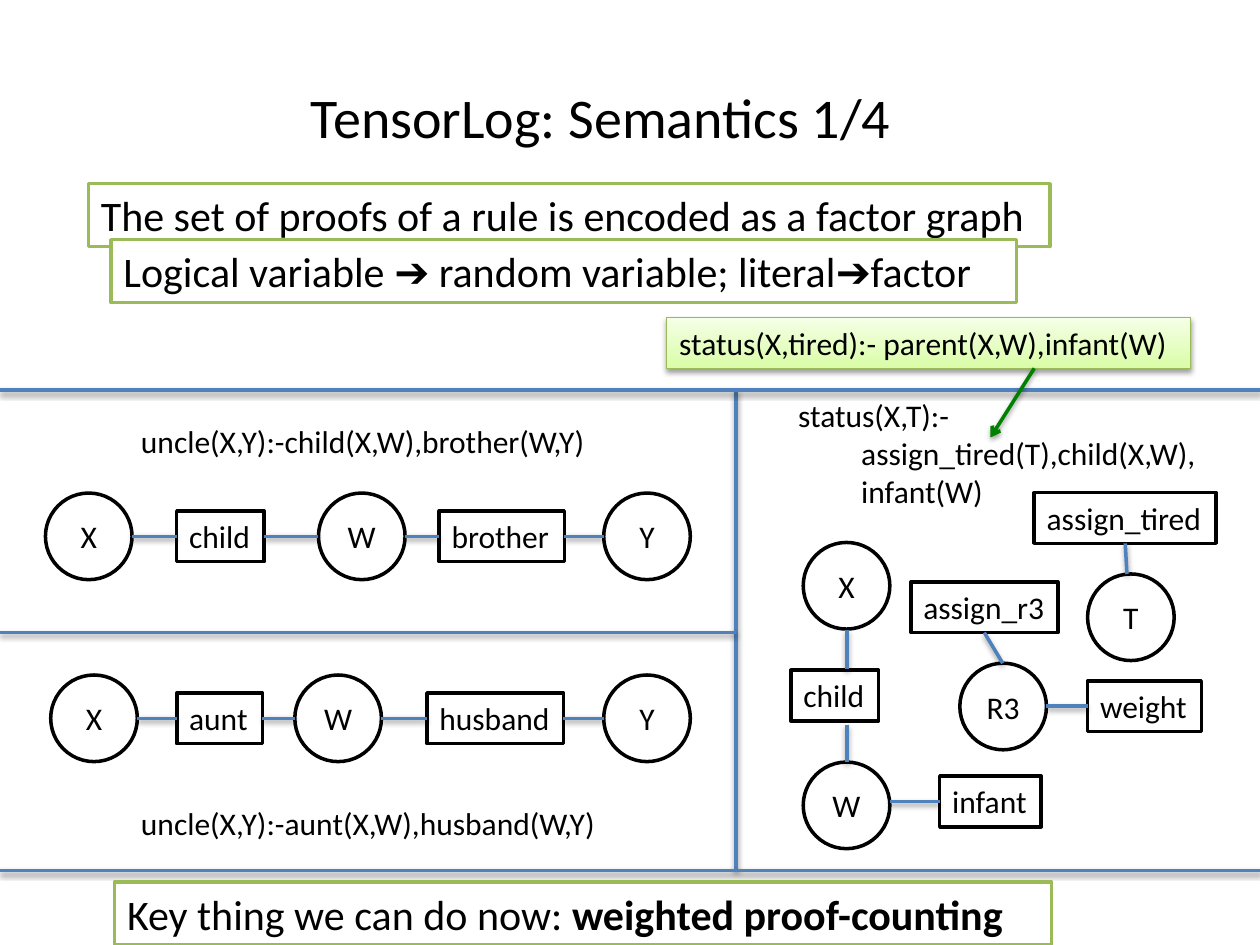
from dataclasses import dataclass

from lxml.etree import SubElement
from pptx import Presentation
from pptx.dml.color import RGBColor
from pptx.enum.shapes import MSO_CONNECTOR, MSO_SHAPE
from pptx.enum.text import MSO_ANCHOR, PP_ALIGN
from pptx.oxml.ns import qn
from pptx.util import Pt


@dataclass(frozen=True)
class Theme:
    """Colours, type sizes and shared measures in points."""
    font: str = "Calibri"
    ink: str = "000000"
    paper: str = "FFFFFF"
    blue: str = "4F81BD"
    green: str = "9BBB59"
    arrow: str = "008000"
    glow: tuple = ("DAFDA7", "F5FFE7")
    title: int = 32
    banner: int = 24
    body: int = 18
    node: float = 49.5
    label: float = 29
    line: float = 2


T = Theme()
TOP, BOTTOM, LEFT, RIGHT = 0, 2, 1, 3


def rgb(value):
    """Return a colour from its hex value."""
    return RGBColor.from_string(value)


def write(s, text, size=T.body, align=PP_ALIGN.LEFT, anchor=MSO_ANCHOR.TOP,
          wrap=False, bold_tail="", hang=0):
    """Write text into a shape, one paragraph a line, later lines indented by hang."""
    tf = s.text_frame
    tf.word_wrap = wrap
    tf.vertical_anchor = anchor
    for i, content in enumerate(text.split("\n")):
        p = tf.paragraphs[0] if i == 0 else tf.add_paragraph()
        p.alignment = align
        if i and hang:
            p._p.get_or_add_pPr().set("marL", str(Pt(hang)))
        for part, bold in ((content, False), (bold_tail, True)):
            if part:
                r = p.add_run()
                r.text = part
                r.font.name, r.font.size, r.font.bold = T.font, Pt(size), bold
                r.font.color.rgb = rgb(T.ink)


def text_box(shapes, box, text, **fmt):
    """Add a plain text box."""
    s = shapes.add_textbox(*map(Pt, box))
    write(s, text, **fmt)
    return s


def framed(shapes, kind, box, text, color=T.ink, width=T.line, **fmt):
    """Add a white outlined shape holding text."""
    s = shapes.add_shape(kind, *map(Pt, box))
    s.shadow.inherit = False
    s.fill.solid()
    s.fill.fore_color.rgb = rgb(T.paper)
    s.line.color.rgb = rgb(color)
    s.line.width = Pt(width)
    write(s, text, **fmt)
    return s


def node(shapes, x, y, text):
    """Add a circle for a random variable."""
    return framed(shapes, MSO_SHAPE.OVAL, (x, y, T.node, T.node), text,
                  align=PP_ALIGN.CENTER, anchor=MSO_ANCHOR.MIDDLE)


def factor(shapes, x, y, width, text):
    """Add a box for a factor."""
    return framed(shapes, MSO_SHAPE.RECTANGLE, (x, y, width, T.label), text)


def banner(shapes, box, text, **fmt):
    """Add a green-framed statement."""
    return framed(shapes, MSO_SHAPE.RECTANGLE, box, text, color=T.green,
                  size=T.banner, **fmt)


def drop_shadow(s):
    """Give a shape or connector a soft shadow below it."""
    props = s._element.spPr
    effects = props.find(qn("a:effectLst"))
    if effects is None:
        effects = SubElement(props, qn("a:effectLst"))
    shadow = SubElement(effects, qn("a:outerShdw"), blurRad=str(Pt(3.1)),
                        dist=str(Pt(1.6)), dir="5400000", rotWithShape="0")
    color = SubElement(shadow, qn("a:srgbClr"), val=T.ink)
    SubElement(color, qn("a:alpha"), val="38000")


def line(shapes, start, end, color=T.blue, begin_at=None, end_at=None, arrow=False):
    """Add a shadowed line, joined to (shape, side) where one is given."""
    c = shapes.add_connector(MSO_CONNECTOR.STRAIGHT, *map(Pt, (*start, *end)))
    if begin_at:
        c.begin_connect(*begin_at)
    if end_at:
        c.end_connect(*end_at)
    c.line.color.rgb = rgb(color)
    c.line.width = Pt(T.line)
    if arrow:
        SubElement(c._element.spPr.find(qn("a:ln")), qn("a:tailEnd"), type="arrow")
    drop_shadow(c)


def chain_panel(shapes, box, axis, rule, rule_y, rule_width, parts):
    """Draw a rule and its alternating chain of variables and factors."""
    x, y, _, _ = box
    mid = y + axis
    text_box(shapes, (x + 73.5, y + rule_y, rule_width, T.label), rule)
    placed = []
    for left, width, name in parts:
        if width:
            s = factor(shapes, x + left, mid - T.label / 2, width, name)
            placed.append((x + left, width, s))
        else:
            s = node(shapes, x + left, mid - T.node / 2, name)
            placed.append((x + left, T.node, None))
    for (x1, w1, a), (x2, _, b) in zip(placed, placed[1:]):
        line(shapes, (x1 + w1, mid), (x2, mid),
             begin_at=(a, RIGHT) if a else None, end_at=(b, LEFT) if b else None)


def status_panel(shapes, box):
    """Draw the status rule and its branching factor graph."""
    x, y, _, _ = box
    text_box(shapes, (x + 29, y, 245.5, 73),
             "status(X,T):-\nassign_tired(T),child(X,W),\ninfant(W)", hang=36)
    node(shapes, x + 39, y + 87, "X")
    factor(shapes, x + 32, y + 160, 50, "child")
    node(shapes, x + 39, y + 212.5, "W")
    tired = factor(shapes, x + 171, y + 58.5, 104, "assign_tired")
    node(shapes, x + 201.5, y + 105, "T")
    infant = factor(shapes, x + 117, y + 220.5, 58, "infant")
    r3 = factor(shapes, x + 100.5, y + 109.5, 84, "assign_r3")
    node(shapes, x + 128.5, y + 156, "R3")
    weight = factor(shapes, x + 201.5, y + 166, 65, "weight")
    line(shapes, (x + 64, y + 137), (x + 64, y + 159.5))
    line(shapes, (x + 64, y + 191), (x + 64, y + 212.5))
    line(shapes, (x + 223, y + 87.5), (x + 224, y + 105), begin_at=(tired, BOTTOM))
    line(shapes, (x + 88.5, y + 235), (x + 117, y + 235), end_at=(infant, LEFT))
    line(shapes, (x + 142.5, y + 138.5), (x + 153, y + 156), begin_at=(r3, BOTTOM))
    line(shapes, (x + 201.5, y + 180.5), (x + 178, y + 180.5), begin_at=(weight, LEFT))


def dividers(shapes, box, split_x, split_y):
    """Rule off the three panels."""
    x, y, width, height = box
    line(shapes, (x + split_x, y), (x + split_x, y + height))
    for row, length in ((height, width), (split_y, split_x), (0, width)):
        line(shapes, (x, y + row), (x + length, y + row))


def callout(shapes, box):
    """Draw the shaded source rule with an arrow to its rewritten form."""
    x, y, _, height = box
    s = framed(shapes, MSO_SHAPE.RECTANGLE, box,
               "status(X,tired):- parent(X,W),infant(W)", color=T.green, width=0.75)
    s.fill.gradient()
    s.fill.gradient_angle = 90
    for stop, color, place in zip(s.fill.gradient_stops, T.glow, (0, 1)):
        stop.color.rgb = rgb(color)
        stop.position = place
    drop_shadow(s)
    line(shapes, (x + 210, y + height), (x + 185, y + 68.5), color=T.arrow, arrow=True)


def main():
    """Build the slide and save it."""
    prs = Presentation()
    prs.slide_width, prs.slide_height = Pt(720), Pt(540)
    shapes = prs.slides.add_slide(prs.slide_layouts[6]).shapes
    text_box(shapes, (0, 21.5, 687, 90), "TensorLog: Semantics 1/4", size=T.title,
             align=PP_ALIGN.CENTER, anchor=MSO_ANCHOR.MIDDLE, wrap=True)
    chain_panel(shapes, (0, 223, 420.5, 138.5), 83.5,
                "uncle(X,Y):-child(X,W),brother(W,Y)", 14.5, 276.5,
                ((26, 0, "X"), (101, 50, "child"), (182, 0, "W"),
                 (251, 71.5, "brother"), (345, 0, "Y")))
    chain_panel(shapes, (0, 361.5, 420.5, 136), 49,
                "uncle(X,Y):-aunt(X,W),husband(W,Y)", 94.5, 282,
                ((29, 0, "X"), (101, 49, "aunt"), (168.5, 0, "W"),
                 (244, 78, "husband"), (345, 0, "Y")))
    status_panel(shapes, (420, 223, 300, 274.5))
    dividers(shapes, (0, 223, 720, 274.5), 420.5, 138.5)
    banner(shapes, (50.5, 105, 549.5, 36), "The set of proofs of a rule is encoded as a factor graph")
    callout(shapes, (381, 181.5, 299.5, T.label))
    banner(shapes, (63.5, 137, 517.5, 36), "Logical variable ➔ random variable; literal➔factor")
    banner(shapes, (65.5, 504, 535.5, 36), "Key thing we can do now: ",
           bold_tail="weighted proof-counting")
    prs.save("out.pptx")


if __name__ == "__main__":
    main()
